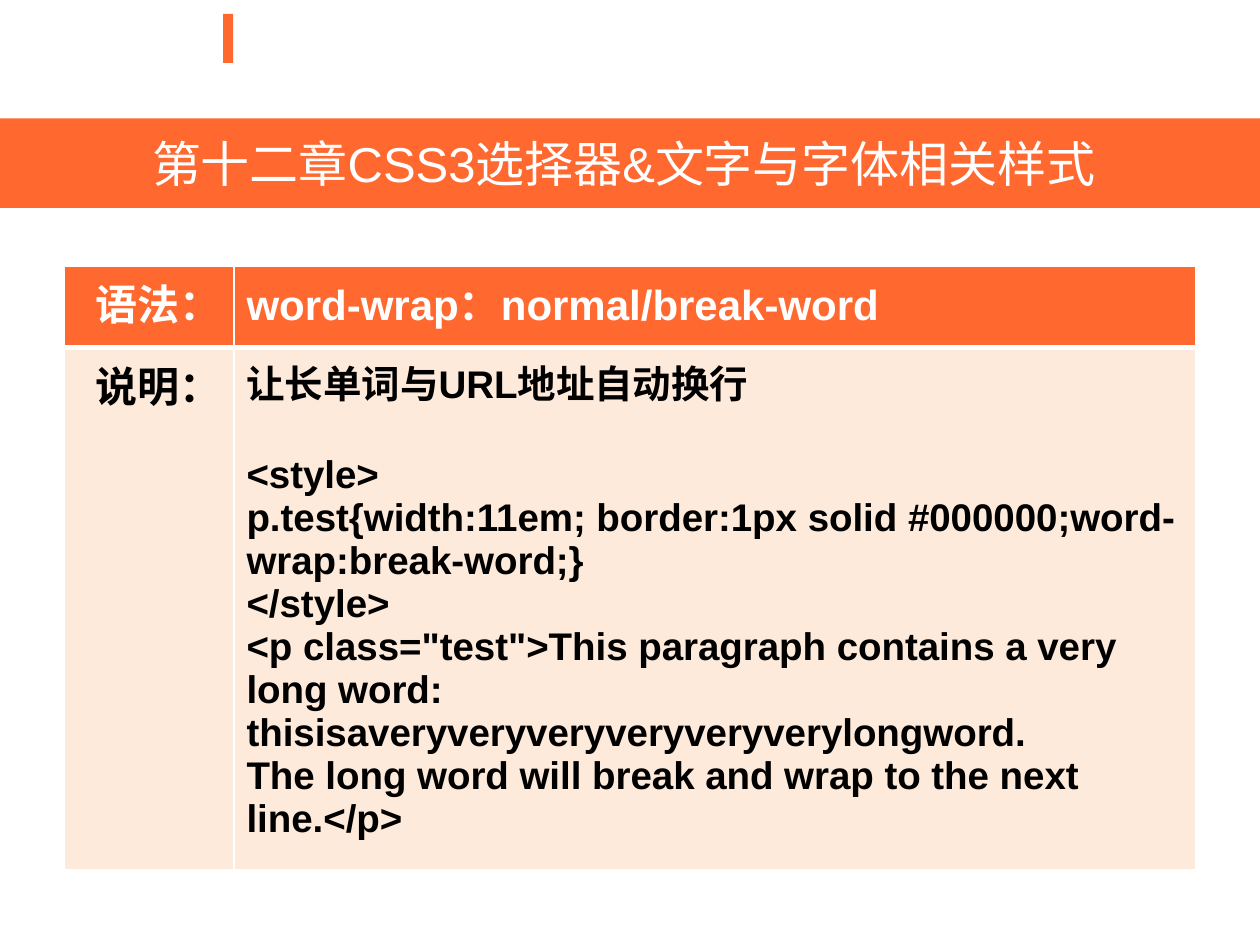
import pptx
import pptx.dml.color
import pptx.enum.shapes
import pptx.enum.text
import pptx.oxml
import pptx.oxml.ns
import pptx.util

W, H = 10, 7.5
FONT = "Arial"
COLORS = {"accent": "FF682F", "body": "FDEADA", "light": "FFFFFF", "dark": "000000"}
SYNTAX = ("语法：", "word-wrap：normal/break-word")
LABEL = "说明："
SUMMARY = "让长单词与URL地址自动换行"
CODE = [
    "<style>",
    "p.test{width:11em; border:1px solid #000000;word-wrap:break-word;}",
    "</style>",
    '<p class="test">This paragraph contains a very long word: '
    "thisisaveryveryveryveryveryverylongword.",
    "The long word will break and wrap to the next line.</p>",
]
ALIGN = pptx.enum.text.PP_ALIGN


def rgb(name):
    return pptx.dml.color.RGBColor.from_string(COLORS[name])


def inches(*values):
    return [pptx.util.Inches(v) for v in values]


def style(p, size, color, bold=False, align=ALIGN.LEFT):
    p.alignment = align
    p.font.name = FONT
    p.font.size = pptx.util.Pt(size)
    p.font.bold = bold
    p.font.color.rgb = rgb(color)


def add_marker(slide, box):
    sp = slide.shapes.add_shape(pptx.enum.shapes.MSO_SHAPE.RECTANGLE, *inches(*box))
    sp.shadow.inherit = False
    sp.fill.solid()
    sp.fill.fore_color.rgb = rgb("accent")
    sp.line.fill.background()


def add_title(slide, box, text):
    sp = slide.shapes.title
    sp.left, sp.top, sp.width, sp.height = inches(*box)
    sp.fill.solid()
    sp.fill.fore_color.rgb = rgb("accent")
    tf = sp.text_frame
    tf.text = text
    tf.word_wrap = True
    tf.auto_size = pptx.enum.text.MSO_AUTO_SIZE.NONE
    tf.vertical_anchor = pptx.enum.text.MSO_ANCHOR.MIDDLE
    tf.margin_right = pptx.util.Inches(0.2)
    style(tf.paragraphs[0], 28, "light", align=ALIGN.CENTER)


def format_cell(cell, fill, top, bottom):
    # Borders come before the fill in the cell properties
    tcPr = cell._tc.get_or_add_tcPr()
    for side, width in (("L", 1), ("R", 1), ("T", top), ("B", bottom)):
        tcPr.append(pptx.oxml.parse_xml(
            f'<a:ln{side} {pptx.oxml.ns.nsdecls("a")} w="{pptx.util.Pt(width)}">'
            f'<a:solidFill><a:srgbClr val="{COLORS["light"]}"/></a:solidFill>'
            f"</a:ln{side}>"))
    cell.fill.solid()
    cell.fill.fore_color.rgb = rgb(fill)


def add_syntax_table(slide, box):
    width, height = box[2:]
    table = slide.shapes.add_table(2, 2, *inches(*box)).table
    label_width, header_height = 0.15 * width, 0.65
    for col, w in zip(table.columns, (label_width, width - label_width)):
        col.width = pptx.util.Inches(w)
    for row, h in zip(table.rows, (header_height, height - header_height)):
        row.height = pptx.util.Inches(h)

    rows = [(SYNTAX, "accent", "light", 24, 1, 3),
            ((LABEL, "\n".join([SUMMARY, *CODE])), "body", "dark", 22, 3, 1)]
    for i, (texts, fill, color, size, top, bottom) in enumerate(rows):
        for j, text in enumerate(texts):
            cell = table.cell(i, j)
            format_cell(cell, fill, top, bottom)
            cell.text_frame.text = text
            for p in cell.text_frame.paragraphs:
                style(p, size if j else 24, color, True, ALIGN.LEFT if j else ALIGN.RIGHT)

    # One line of space between the summary and the code
    table.cell(1, 1).text_frame.paragraphs[1].space_before = pptx.util.Pt(25)


def main():
    prs = pptx.Presentation()
    prs.slide_width, prs.slide_height = inches(W, H)
    slide = prs.slides.add_slide(prs.slide_layouts[5])
    margin = 0.51
    add_marker(slide, (1.77, 0.11, 0.08, 0.39))
    add_title(slide, (0, 0.94, W, 0.71), "第十二章CSS3选择器&文字与字体相关样式")
    add_syntax_table(slide, (margin, 2.11, W - 2 * margin, 4.79))
    prs.save("out.pptx")


if __name__ == "__main__":
    main()
